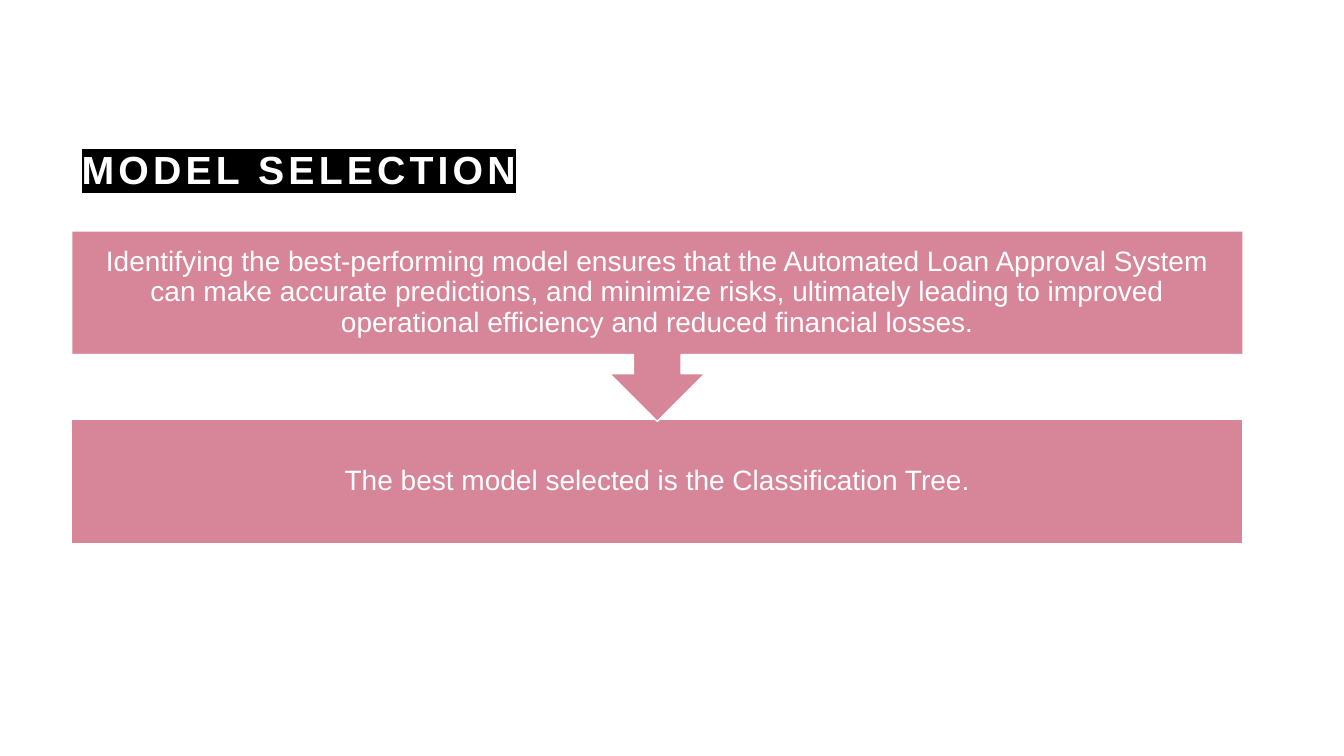
from lxml import etree
from pptx import Presentation
from pptx.dml.color import RGBColor
from pptx.enum.shapes import MSO_SHAPE
from pptx.enum.text import MSO_ANCHOR, MSO_AUTO_SIZE, PP_ALIGN
from pptx.oxml.ns import qn
from pptx.util import Inches, Pt

COLORS = {"white": "FFFFFF", "black": "000000", "rose": "D68698"}
FONT = "Arial"
LEFT, WIDTH = 0.71, 11.62
STEP_HEIGHT = 1.23
CALLOUT_HEIGHT = 1.89


def rgb(name):
    return RGBColor.from_string(COLORS[name])


def style_font(font, size, bold=False):
    font.name = FONT
    font.size = Pt(size)
    font.bold = bold
    font.color.rgb = rgb("white")


def highlight(run, color, spacing):
    """Put a colour behind the run and set its letter spacing in points."""
    properties = run.font._element
    properties.set("spc", str(spacing * 100))
    mark = etree.Element(qn("a:highlight"))
    etree.SubElement(mark, qn("a:srgbClr"), val=COLORS[color])
    properties.find(qn("a:solidFill")).addnext(mark)


def add_title(slide, text, left, top, width, height):
    title = slide.shapes.title
    title.left, title.top = Inches(left), Inches(top)
    title.width, title.height = Inches(width), Inches(height)
    frame = title.text_frame
    frame.text = text
    frame.word_wrap = True
    frame.auto_size = MSO_AUTO_SIZE.NONE
    frame.vertical_anchor = MSO_ANCHOR.BOTTOM
    paragraph = frame.paragraphs[0]
    paragraph.alignment = PP_ALIGN.LEFT
    paragraph.line_spacing = 1.2
    run = paragraph.runs[0]
    style_font(run.font, 28, bold=True)
    highlight(run, "black", spacing=3)


def add_step(slide, kind, text, left, top, width, height):
    shape = slide.shapes.add_shape(
        kind, Inches(left), Inches(top), Inches(width), Inches(height))
    shape.shadow.inherit = False
    shape.fill.solid()
    shape.fill.fore_color.rgb = rgb("rose")
    shape.line.color.rgb = rgb("white")
    shape.line.width = Pt(1)
    frame = shape.text_frame
    frame.text = text
    frame.word_wrap = True
    frame.vertical_anchor = MSO_ANCHOR.MIDDLE
    frame.margin_left = frame.margin_right = Inches(0.16)
    frame.margin_top = frame.margin_bottom = Inches(0.16)
    paragraph = frame.paragraphs[0]
    paragraph.alignment = PP_ALIGN.CENTER
    paragraph.line_spacing = 0.9
    style_font(paragraph.font, 20)


def add_process(slide, left, top, width, height):
    """Stack the conclusion under a callout whose arrow points to it."""
    add_step(slide, MSO_SHAPE.RECTANGLE,
             "The best model selected is the Classification Tree.",
             left, top + height - STEP_HEIGHT, width, STEP_HEIGHT)
    add_step(slide, MSO_SHAPE.DOWN_ARROW_CALLOUT,
             "Identifying the best-performing model ensures that the Automated "
             "Loan Approval System can make accurate predictions, and minimize "
             "risks, ultimately leading to improved operational efficiency and "
             "reduced financial losses.",
             left, top, width, CALLOUT_HEIGHT)


def main():
    presentation = Presentation()
    presentation.slide_width = Inches(13.33)
    presentation.slide_height = Inches(7.5)
    slide = presentation.slides.add_slide(presentation.slide_layouts[5])
    add_title(slide, "MODEL SELECTION", LEFT, 0.71, WIDTH, 1.25)
    add_process(slide, LEFT, 2.29, WIDTH, 3.1)
    presentation.save("out.pptx")


if __name__ == "__main__":
    main()
